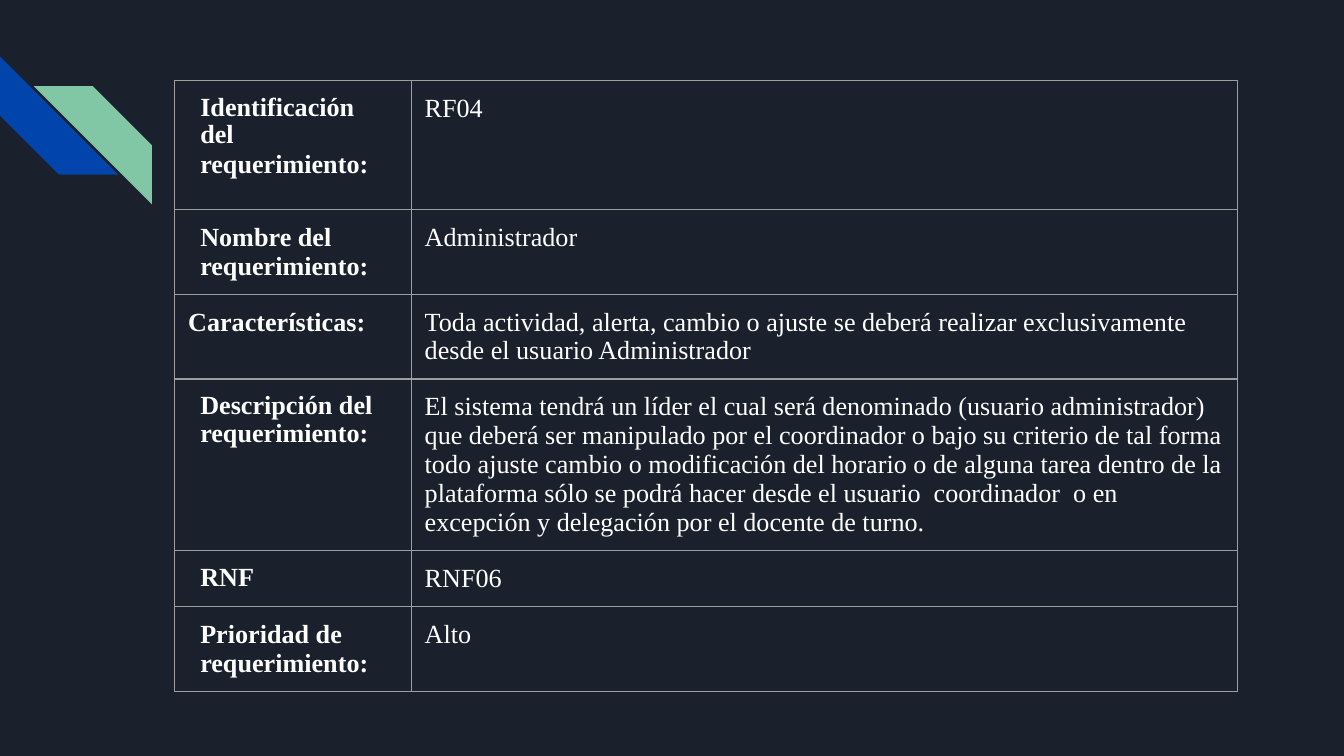
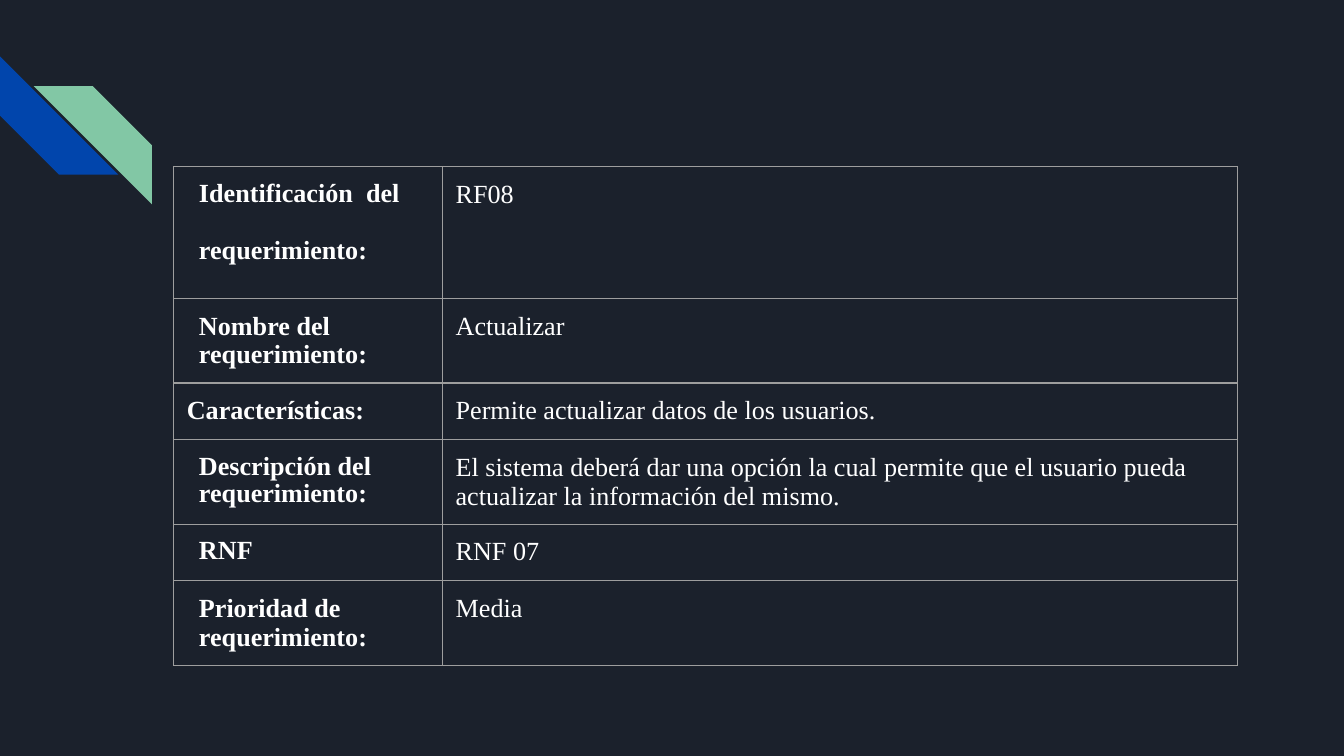
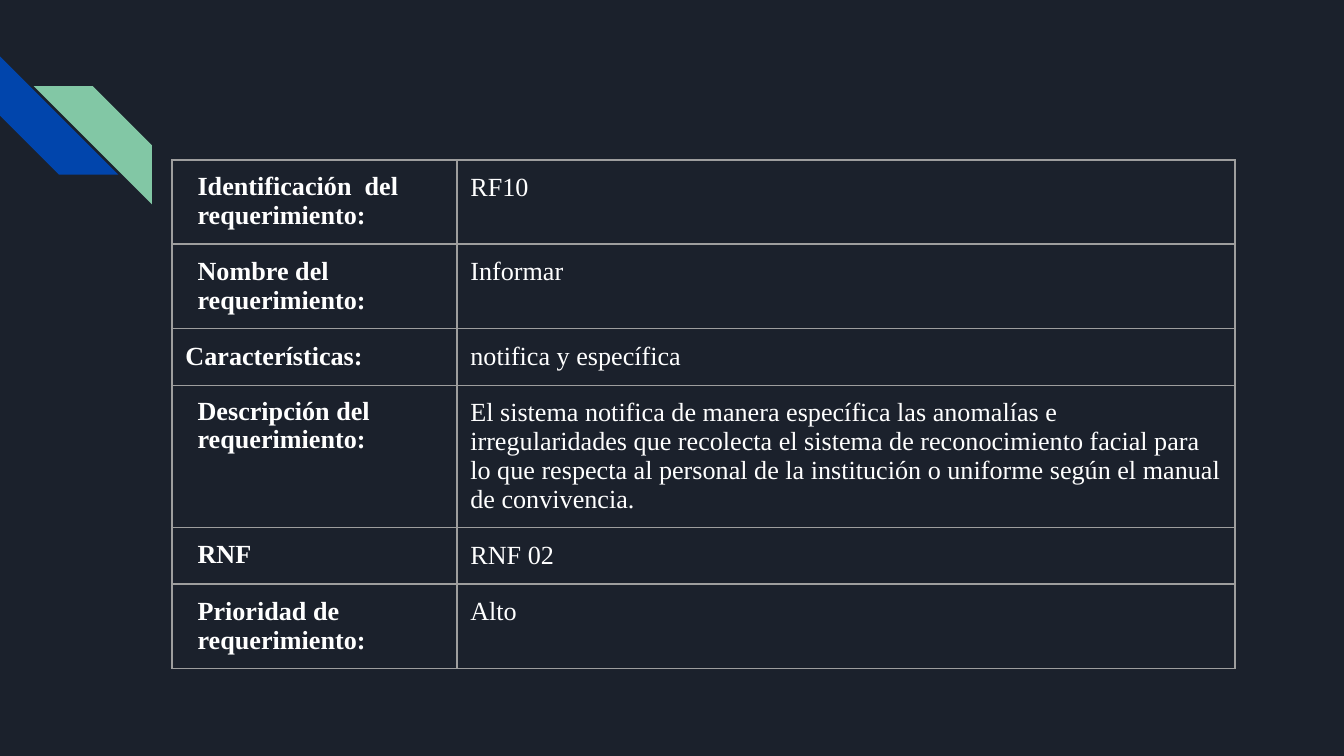
from lxml.etree import SubElement as Sub
from pptx import Presentation
from pptx.dml.color import RGBColor
from pptx.enum.shapes import MSO_SHAPE as Shape
from pptx.oxml.ns import qn
from pptx.util import Inches, Pt

NIGHT = RGBColor(0x1B, 0x21, 0x2C)
BLUE = RGBColor(0x01, 0x45, 0xAC)
GREEN = RGBColor(0x82, 0xC7, 0xA5)
GREY = RGBColor(0x9E, 0x9E, 0x9E)
WHITE = RGBColor(0xFF, 0xFF, 0xFF)

FONT = "Times New Roman"
SIZE = Pt(14)
PAD = Inches(0.1)
TIGHT = 0.96
ROW = 0.42
WIDTH = Inches(10)

# Each label: its paragraphs, left margin and line spacing
LABELS = [
    (["Identificación  del", "requerimiento:"], 0.09, TIGHT),
    (["Nombre del", "requerimiento:"], 0.09, None),
    (["Características:"], 0, None),
    (["Descripción del  requerimiento:"], 0.09, TIGHT),
    (["RNF"], 0.09, TIGHT),
    (["Prioridad de", "requerimiento:"], 0.09, None),
]


class Deck:
    def __init__(self):
        self.prs = Presentation()
        self.prs.slide_width = WIDTH
        self.prs.slide_height = WIDTH * 9 // 16
        fill = self.prs.slide_master.background.fill
        fill.solid()
        fill.fore_color.rgb = NIGHT
        self.slide = None

    def page(self):
        """Start a slide with the two corner stripes."""
        self.slide = self.prs.slides.add_slide(self.prs.slide_layouts[6])
        self.stripe(0, 0.42, 270, BLUE)
        self.stripe(0.25, 0.64, 90, GREEN)

    def stripe(self, left, top, turn, color):
        side = Inches(0.88)
        shape = self.slide.shapes.add_shape(
            Shape.DIAGONAL_STRIPE, Inches(left), Inches(top), side, side)
        shape.adjustments[0] = 0.5
        shape.rotation = turn
        shape.shadow.inherit = False
        shape.fill.solid()
        shape.fill.fore_color.rgb = color
        shape.line.fill.background()

    def table(self, left, top, cols, rows, values, gap):
        """Add a label and value table; gap is the points inside the first label."""
        grid = self.slide.shapes.add_table(
            len(rows), len(cols), Inches(left), Inches(top),
            Inches(sum(cols)), Inches(sum(rows))).table
        grid.first_row = grid.horz_banding = False
        for col, width in zip(grid.columns, cols):
            col.width = Inches(width)
        for row, height in zip(grid.rows, rows):
            row.height = Inches(height)
        for i, ((lines, inset, space), value) in enumerate(zip(LABELS, values)):
            self.cell(grid.cell(i, 0), lines, True, inset, space, 0 if i else gap)
            self.cell(grid.cell(i, 1), [value], False)

    def cell(self, cell, lines, bold, inset=0, space=None, gap=0):
        cell.margin_left = cell.margin_right = PAD
        cell.margin_top = cell.margin_bottom = PAD
        self.frame(cell)
        cell.fill.background()
        text = cell.text_frame
        for i, line in enumerate(lines):
            para = text.add_paragraph() if i else text.paragraphs[0]
            para.text = line
            para._p.get_or_add_pPr().set("marL", str(Inches(inset)))
            if i == 0 and space:
                para.line_spacing = space
            if i and gap:
                para.space_before = Pt(gap)
            font = para.font
            font.name, font.size, font.bold = FONT, SIZE, bold
            font.color.rgb = WHITE

    def frame(self, cell):
        """Draw the four borders of a cell."""
        props = cell._tc.get_or_add_tcPr()
        for side in ("a:lnL", "a:lnR", "a:lnT", "a:lnB"):
            line = Sub(props, qn(side), w=str(Pt(0.75)))
            Sub(Sub(line, qn("a:solidFill")), qn("a:srgbClr"), val=str(GREY))


def main():
    deck = Deck()

    deck.page()
    deck.table(1.3, 0.6, [1.76, 6.15], [0.96] + [ROW] * 5, [
        "RF04",
        "Administrador",
        "Toda actividad, alerta, cambio o ajuste se deberá realizar "
        "exclusivamente desde el usuario Administrador",
        "El sistema tendrá un líder el cual será denominado (usuario "
        "administrador) que deberá ser manipulado por el coordinador o bajo su "
        "criterio de tal forma todo ajuste cambio o modificación del horario o "
        "de alguna tarea dentro de la plataforma sólo se podrá hacer desde el "
        "usuario  coordinador  o en excepción y delegación por el docente de "
        "turno.",
        "RNF06",
        "Alto",
    ], 0.3)

    deck.page()
    deck.table(1.29, 1.24, [2, 5.92], [0.98, 0.55] + [ROW] * 4, [
        "RF08",
        "Actualizar",
        "Permite actualizar datos de los usuarios.",
        "El sistema deberá dar una opción la cual permite que el usuario pueda "
        "actualizar la información del mismo.",
        "RNF 07",
        "Media",
    ], 15)

    deck.page()
    deck.table(1.28, 1.19, [2.12, 5.79], [ROW] * 6, [
        "RF10",
        "Informar",
        "notifica y específica",
        "El sistema notifica de manera específica las anomalías e "
        "irregularidades que recolecta el sistema de reconocimiento facial para "
        "lo que respecta al personal de la institución o uniforme según el "
        "manual de convivencia.",
        "RNF 02",
        "Alto",
    ], 0.3)

    deck.prs.save("out.pptx")


if __name__ == "__main__":
    main()
